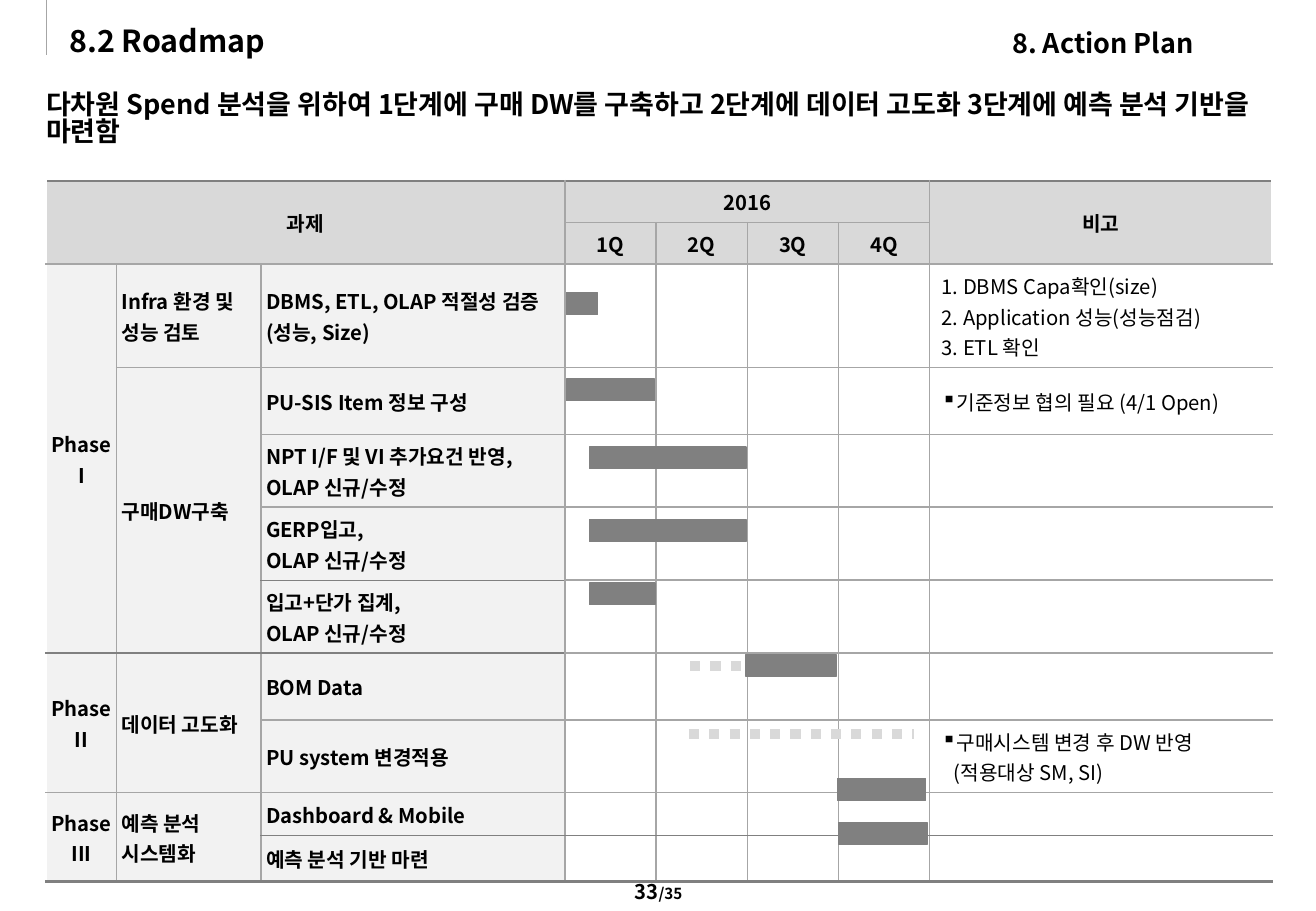
from lxml.etree import SubElement
from pptx import Presentation
from pptx.dml.color import RGBColor
from pptx.enum.dml import MSO_LINE
from pptx.enum.shapes import MSO_CONNECTOR, MSO_SHAPE
from pptx.enum.text import MSO_ANCHOR as ANCHOR, MSO_AUTO_SIZE, PP_ALIGN as ALIGN
from pptx.oxml.ns import qn
from pptx.util import Inches, Pt

FONT = "Noto Sans CJK KR"
COLORS = {"text": "000000", "bar": "808080", "rule": "A6A6A6", "head": "D9D9D9",
          "task": "F2F2F2", "plain": "FFFFFF"}

TITLE = "8.2 Roadmap"
CHAPTER = "8. Action Plan"
MESSAGE = ("다차원 Spend 분석을 위하여 1단계에 구매 DW를 구축하고 "
           "2단계에 데이터 고도화 3단계에 예측 분석 기반을 마련함")

TABLE_LEFT, TABLE_TOP = 0.38, 1.49
COL_WIDTHS = [0.58, 1.19, 2.5, 0.75, 0.75, 0.75, 0.75, 2.82]
ROW_HEIGHTS = [0.34, 0.34, 0.85, 0.55, 0.6, 0.6, 0.6, 0.55, 0.6, 0.35, 0.38]
HEAD_ROWS, TASK_COLS, REMARK_COL = 2, 3, 7
# (first row, first column, last row, last column)
MERGES = [(0, 0, 1, 2), (0, 3, 0, 6), (0, 7, 1, 7), (2, 0, 6, 0), (3, 1, 6, 1),
          (7, 0, 8, 0), (7, 1, 8, 1), (9, 0, 10, 0), (9, 1, 10, 1)]
# (row, column): paragraphs
CELLS = {
    (0, 0): ["과제"], (0, 3): ["2016"], (0, 7): ["비고"],
    (1, 3): ["1Q"], (1, 4): ["2Q"], (1, 5): ["3Q"], (1, 6): ["4Q"],
    (2, 0): ["Phase\vI"], (7, 0): ["Phase II"], (9, 0): ["Phase III"],
    (2, 1): ["Infra 환경 및 성능 검토"], (3, 1): ["구매DW구축"],
    (7, 1): ["데이터 고도화"], (9, 1): ["예측 분석", "시스템화"],
    (2, 2): ["DBMS, ETL, OLAP 적절성 검증(성능, Size)"],
    (3, 2): ["PU-SIS Item 정보 구성"],
    (4, 2): ["NPT I/F 및 VI 추가요건 반영, OLAP 신규/수정"],
    (5, 2): ["GERP입고,\vOLAP 신규/수정"],
    (6, 2): ["입고+단가 집계, \vOLAP 신규/수정"],
    (7, 2): ["BOM Data"], (8, 2): ["PU system 변경적용"],
    (9, 2): ["Dashboard & Mobile"], (10, 2): ["예측 분석 기반 마련"],
    (2, 7): ["1. DBMS Capa확인(size)", "2. Application 성능(성능점검)", "3. ETL 확인"],
    (3, 7): ["기준정보 협의 필요 (4/1 Open)"],
    (8, 7): ["구매시스템 변경 후 DW 반영\v(적용대상 SM, SI)"],
}
BULLETED = {(3, 7), (8, 7)}

BAR_HEIGHT = 0.18
# (left, top, width)
BARS = [(4.66, 2.41, 0.26), (4.66, 3.12, 0.73), (4.85, 3.68, 1.29),
        (4.85, 4.28, 1.29), (4.85, 4.8, 0.54), (6.14, 5.39, 0.74),
        (6.89, 6.41, 0.73), (6.9, 6.77, 0.73)]
# (left, right, height on the slide)
DOTTED = [(5.67, 7.52, 6.04), (5.68, 6.47, 5.48)]


def rgb(name):
    return RGBColor.from_string(COLORS[name])


def style_run(r, size, bold=True):
    for key, value in {"size": Pt(size), "bold": bold, "name": FONT}.items():
        setattr(r.font, key, value)
    r.font.color.rgb = rgb("text")
    SubElement(r._r.get_or_add_rPr(), qn("a:ea"), typeface=FONT)


def write_line(sp, box, runs, align=ALIGN.LEFT, anchor=ANCHOR.TOP, inset=0.0):
    """Place sp and fill it with one paragraph of (text, size) runs."""
    sp.left, sp.top, sp.width, sp.height = (Inches(v) for v in box)
    tf = sp.text_frame
    margins = {f"margin_{side}": Inches(inset) for side in ("left", "top", "right", "bottom")}
    for key, value in {"word_wrap": True, "auto_size": MSO_AUTO_SIZE.NONE,
                       "vertical_anchor": anchor, **margins}.items():
        setattr(tf, key, value)
    p = tf.paragraphs[0]
    p.alignment = align
    for text, size in runs:
        r = p.add_run()
        r.text = text
        style_run(r, size)
    return p


def add_line(s, x1, y1, x2, y2, color, width):
    line = s.shapes.add_connector(MSO_CONNECTOR.STRAIGHT,
                                  *(Inches(v) for v in (x1, y1, x2, y2)))
    line.line.color.rgb = rgb(color)
    line.line.width = Pt(width)
    SubElement(line._element.spPr, qn("a:effectLst"))
    return line


def row_rule(edge, col):
    """Colour and width of the horizontal rule above row number edge."""
    if edge in (0, len(ROW_HEIGHTS)):
        return "bar", 1.5
    if edge == 10 or (edge == 7 and col < TASK_COLS) or (edge == 6 and col == 2):
        return "bar", 0.75
    return "rule", 1


def col_rule(edge):
    return ("plain" if edge in (0, len(COL_WIDTHS)) else "rule"), 1


def set_borders(cell, row, col, last_row, last_col):
    tcPr = cell._tc.get_or_add_tcPr()
    rules = {"lnL": col_rule(col), "lnR": col_rule(last_col + 1),
             "lnT": row_rule(row, col), "lnB": row_rule(last_row + 1, col)}
    for i, (tag, (color, width)) in enumerate(rules.items()):
        ln = tcPr.makeelement(qn(f"a:{tag}"), {"w": str(Pt(width))})
        fill = SubElement(ln, qn("a:solidFill"))
        SubElement(fill, qn("a:srgbClr"), val=COLORS[color])
        tcPr.insert(i, ln)


def fill_cell(cell, row, col):
    head = row < HEAD_ROWS
    task = col < TASK_COLS
    cell.fill.solid()
    cell.fill.fore_color.rgb = rgb("head" if head else "task" if task else "plain")
    cell.vertical_anchor = ANCHOR.MIDDLE
    if task and not head:
        cell.margin_left = cell.margin_right = Inches(0.04 if col else 0)
    tf = cell.text_frame
    if (row, col) not in CELLS:
        SubElement(tf.paragraphs[0]._p, qn("a:endParaRPr"), sz="1200")
        return
    for i, text in enumerate(CELLS[row, col]):
        p = tf.add_paragraph() if i else tf.paragraphs[0]
        p.text = text
        p.alignment = ALIGN.CENTER if head or col == 0 else ALIGN.LEFT
        if not head:
            p.line_spacing = Pt(18)
        if (row, col) in BULLETED:
            pPr = p._p.get_or_add_pPr()
            pPr.set("marL", str(Inches(0.1)))
            pPr.set("indent", str(-Inches(0.1)))
            SubElement(pPr, qn("a:buChar"), char="▪")
        for r in p.runs:
            style_run(r, 12, bold=head or col != REMARK_COL)


def add_roadmap(s):
    frame = s.shapes.add_table(len(ROW_HEIGHTS), len(COL_WIDTHS),
                               Inches(TABLE_LEFT), Inches(TABLE_TOP),
                               Inches(sum(COL_WIDTHS)), Inches(sum(ROW_HEIGHTS)))
    table = frame.table
    table.first_row = table.horz_banding = False
    for column, width in zip(table.columns, COL_WIDTHS):
        column.width = Inches(width)
    for line, height in zip(table.rows, ROW_HEIGHTS):
        line.height = Inches(height)
    ends = {(r1, c1): (r2, c2) for r1, c1, r2, c2 in MERGES}
    for row in range(len(ROW_HEIGHTS)):
        for col in range(len(COL_WIDTHS)):
            cell = table.cell(row, col)
            fill_cell(cell, row, col)
            set_borders(cell, row, col, *ends.get((row, col), (row, col)))
    for (r1, c1), (r2, c2) in ends.items():
        table.cell(r1, c1).merge(table.cell(r2, c2))


def main():
    prs = Presentation()
    prs.slide_width, prs.slide_height = Inches(10.83), Inches(7.5)
    s = prs.slides.add_slide(prs.slide_layouts[5])

    def new_box():
        return s.shapes.add_textbox(0, 0, 0, 0)

    write_line(new_box(), (4.29, 7.19, 2.26, 0.33), [("33", 12), ("/35", 9)],
               align=ALIGN.CENTER, inset=0.05)
    add_line(s, 0.38, 0, 0.38, 0.45, "rule", 0.5)
    write_line(s.shapes.title, (0.57, 0.18, 7.45, 0.3), [(TITLE, 18)], anchor=ANCHOR.MIDDLE)
    message = write_line(new_box(), (0.38, 0.76, 10.08, 0.6), [(MESSAGE, 16)])
    message.line_spacing = 0.85
    write_line(new_box(), (8.33, 0.22, 2.38, 0.27), [(CHAPTER, 16)], anchor=ANCHOR.MIDDLE)

    add_roadmap(s)
    for left, right, y in DOTTED:
        line = add_line(s, left, y, right, y, "head", 6)
        line.line.dash_style = MSO_LINE.ROUND_DOT
    for left, top, width in BARS:
        bar = s.shapes.add_shape(MSO_SHAPE.RECTANGLE, Inches(left), Inches(top),
                                 Inches(width), Inches(BAR_HEIGHT))
        bar.shadow.inherit = False
        bar.fill.solid()
        bar.fill.fore_color.rgb = bar.line.color.rgb = rgb("bar")
        bar.line.width = Pt(0.75)
    prs.save("out.pptx")


if __name__ == "__main__":
    main()
